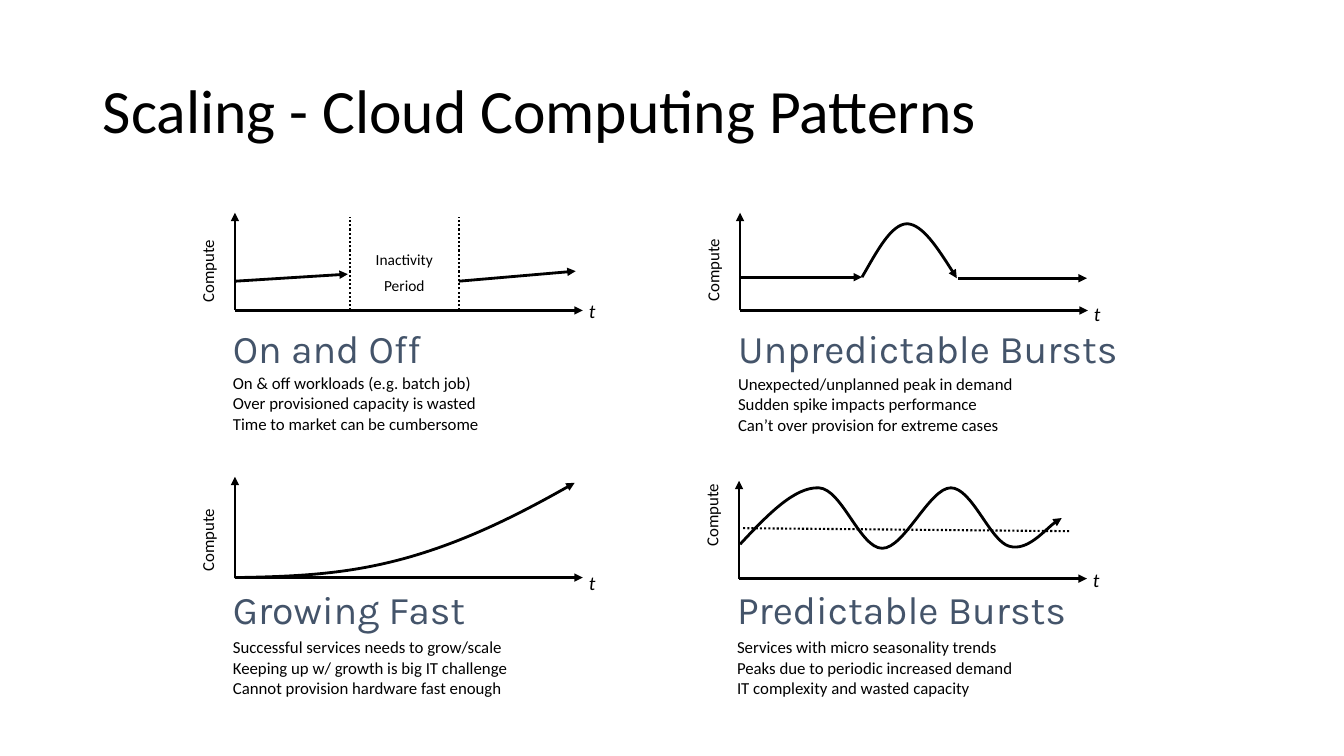
from dataclasses import dataclass

from pptx import Presentation
from pptx.dml.color import RGBColor
from pptx.enum.dml import MSO_LINE_DASH_STYLE as Dash
from pptx.enum.shapes import MSO_CONNECTOR as Conn
from pptx.enum.text import MSO_ANCHOR as Anchor, PP_ALIGN as Align
from pptx.oxml.ns import qn
from pptx.slide import Slide
from pptx.text.text import TextFrame
from pptx.util import Inches, Pt
from lxml.etree import SubElement

Point = tuple[float, float]


@dataclass(frozen=True)
class Theme:
    ink: str = "000000"
    accent: str = "44546A"
    body_font: str = "Calibri"
    heading_font: str = "Karla"
    title: int = 44
    heading: int = 28
    axis: int = 14
    body: int = 12
    note: int = 11
    stroke: float = 2
    dotted: float = 1.5


@dataclass(frozen=True)
class Line:
    start: Point
    end: Point
    dotted: bool = False


@dataclass(frozen=True)
class Curve:
    """Cubic curve: a start point, then two controls and an end per span."""
    points: tuple[Point, ...]


@dataclass(frozen=True)
class Panel:
    heading: str
    bullets: tuple[str, ...]
    origin: Point
    axis_top: float
    compute_y: float
    t_y: float
    heading_y: float
    body_y: float
    heading_w: float
    body_w: float
    marks: tuple[Line | Curve, ...]


THEME = Theme()
AXIS_LENGTH = 3.45

PANELS = (
    Panel("On and Off",
          ("On & off workloads (e.g. batch job)",
           "Over provisioned capacity is wasted",
           "Time to market can be cumbersome"),
          (2.33, 3.08), 2.11, 2.69, 2.97, 3.22, 3.7, 3.33, 3.95,
          (Line((2.33, 2.79), (3.45, 2.72)),
           Line((4.55, 2.79), (5.71, 2.69)),
           Line((3.47, 3.08), (3.47, 2.15), True),
           Line((4.55, 3.08), (4.55, 2.15), True))),
    Panel("Unpredictable Bursts",
          ("Unexpected/unplanned peak in demand",
           "Sudden spike impacts performance",
           "Can’t over provision for extreme cases"),
          (7.34, 3.08), 2.11, 2.68, 3.0, 3.22, 3.71, 4.18, 3.33,
          (Line((7.34, 2.75), (8.55, 2.75)),
           Curve(((8.55, 2.75), (8.7, 2.49), (8.84, 2.22), (9, 2.22),
                  (9.15, 2.23), (9.32, 2.49), (9.49, 2.76))),
           Line((9.5, 2.76), (10.78, 2.76)))),
    Panel("Growing Fast",
          ("Successful services needs to grow/scale",
           "Keeping up w/ growth is big IT challenge",
           "Cannot provision hardware fast enough"),
          (2.33, 5.73), 4.73, 5.36, 5.66, 5.81, 6.32, 3.41, 3.41,
          (Curve(((2.33, 5.73), (3, 5.72), (3.48, 5.69), (4.05, 5.53),
                  (4.61, 5.37), (5.16, 5.1), (5.7, 4.79))),)),
    Panel("Predictable Bursts",
          ("Services with micro seasonality trends",
           "Peaks due to periodic increased demand",
           "IT complexity and wasted capacity"),
          (7.33, 5.74), 4.77, 5.11, 5.63, 5.81, 6.32, 4.31, 3.49,
          (Curve(((7.34, 5.4), (7.61, 5.11), (7.88, 4.83), (8.12, 4.84),
                  (8.35, 4.85), (8.53, 5.44), (8.75, 5.44),
                  (8.97, 5.44), (9.22, 4.84), (9.43, 4.84),
                  (9.64, 4.84), (9.82, 5.37), (10.01, 5.42),
                  (10.19, 5.47), (10.43, 5.18), (10.53, 5.14))),
           Line((7.37, 5.24), (10.61, 5.27), True))),
)


def format_text(tf: TextFrame, size: int, font: str = THEME.body_font,
                color: str = THEME.ink, italic: bool = False,
                align: Align = Align.LEFT,
                spacing: float | Pt | None = None) -> None:
    for p in tf.paragraphs:
        p.alignment = align
        p.line_spacing = spacing
        for r in p.runs:
            r.font.size = Pt(size)
            r.font.name = font
            r.font.italic = italic
            r.font.color.rgb = RGBColor.from_string(color)


def add_text(s: Slide, text: str, x: float, y: float, w: float, h: float,
             inset_x: float = 0, inset_y: float = 0, rotation: float = 0,
             ) -> TextFrame:
    box = s.shapes.add_textbox(Inches(x), Inches(y), Inches(w), Inches(h))
    box.rotation = rotation
    tf = box.text_frame
    tf.word_wrap = True
    tf.margin_left = tf.margin_right = Inches(inset_x)
    tf.margin_top = tf.margin_bottom = Inches(inset_y)
    tf.text = text
    return tf


def add_arrowhead(line) -> None:
    SubElement(line._get_or_add_ln(), qn("a:tailEnd"), type="triangle")


def add_line(s: Slide, mark: Line) -> None:
    ends = [Inches(v) for v in (*mark.start, *mark.end)]
    c = s.shapes.add_connector(Conn.STRAIGHT, *ends)
    c.line.color.rgb = RGBColor.from_string(THEME.ink)
    c.line.width = Pt(THEME.dotted if mark.dotted else THEME.stroke)
    if mark.dotted:
        c.line.dash_style = Dash.ROUND_DOT
    else:
        add_arrowhead(c.line)
    SubElement(c._element.spPr, qn("a:effectLst"))


def add_curve(s: Slide, mark: Curve) -> None:
    start, *rest = [(Inches(x), Inches(y)) for x, y in mark.points]
    builder = s.shapes.build_freeform(*start)
    builder.add_line_segments(rest, close=False)
    shape = builder.convert_to_shape()
    # Turn each three straight segments into one cubic span
    outline = next(shape._element.iter(qn("a:moveTo"))).getparent()
    segments = outline.findall(qn("a:lnTo"))
    for i in range(0, len(segments), 3):
        span = SubElement(outline, qn("a:cubicBezTo"))
        for segment in segments[i:i + 3]:
            span.append(segment[0])
            outline.remove(segment)
    shape.shadow.inherit = False
    shape.fill.background()
    shape.line.color.rgb = RGBColor.from_string(THEME.ink)
    shape.line.width = Pt(THEME.stroke)
    add_arrowhead(shape.line)


def add_panel(s: Slide, panel: Panel) -> None:
    x, y = panel.origin
    # Axes and their labels
    add_line(s, Line((x, y), (x, panel.axis_top)))
    add_line(s, Line((x, y), (x + AXIS_LENGTH, y)))
    tf = add_text(s, "t", x + 3.51, panel.t_y, 0.23, 0.17)
    format_text(tf, THEME.axis, italic=True)
    tf = add_text(s, "Compute", x - 0.8, panel.compute_y - 0.13, 1.12, 0.26,
                  0.1, 0.05, rotation=270)
    format_text(tf, THEME.body, align=Align.CENTER, spacing=Pt(10.7))
    # Demand pattern
    for mark in panel.marks:
        if isinstance(mark, Line):
            add_line(s, mark)
        else:
            add_curve(s, mark)
    # Heading and description
    tf = add_text(s, panel.heading, x - 0.02, panel.heading_y,
                  panel.heading_w, 0.53, inset_y=0.05)
    format_text(tf, THEME.heading, THEME.heading_font, THEME.accent, spacing=0.9)
    tf = add_text(s, "\n".join(panel.bullets), x - 0.02, panel.body_y,
                  panel.body_w, 0.61)
    format_text(tf, THEME.body)


def main() -> None:
    prs = Presentation()
    prs.slide_width, prs.slide_height = Inches(13.33), Inches(7.5)
    s = prs.slides.add_slide(prs.slide_layouts[5])

    # Title
    title = s.shapes.title
    title.left, title.top = Inches(0.92), Inches(0.4)
    title.width, title.height = Inches(11.5), Inches(1.45)
    tf = title.text_frame
    tf.text = "Scaling - Cloud Computing Patterns"
    tf.vertical_anchor = Anchor.MIDDLE
    format_text(tf, THEME.title, spacing=0.9)

    for panel in PANELS:
        add_panel(s, panel)

    # Note between the dotted lines
    tf = add_text(s, "Inactivity\nPeriod", 3.4, 2.47, 1.22, 0.53, 0.1, 0.05)
    format_text(tf, THEME.note, align=Align.CENTER, spacing=Pt(10.7))
    tf.paragraphs[0].space_after = Pt(8)

    prs.save("out.pptx")


if __name__ == "__main__":
    main()
